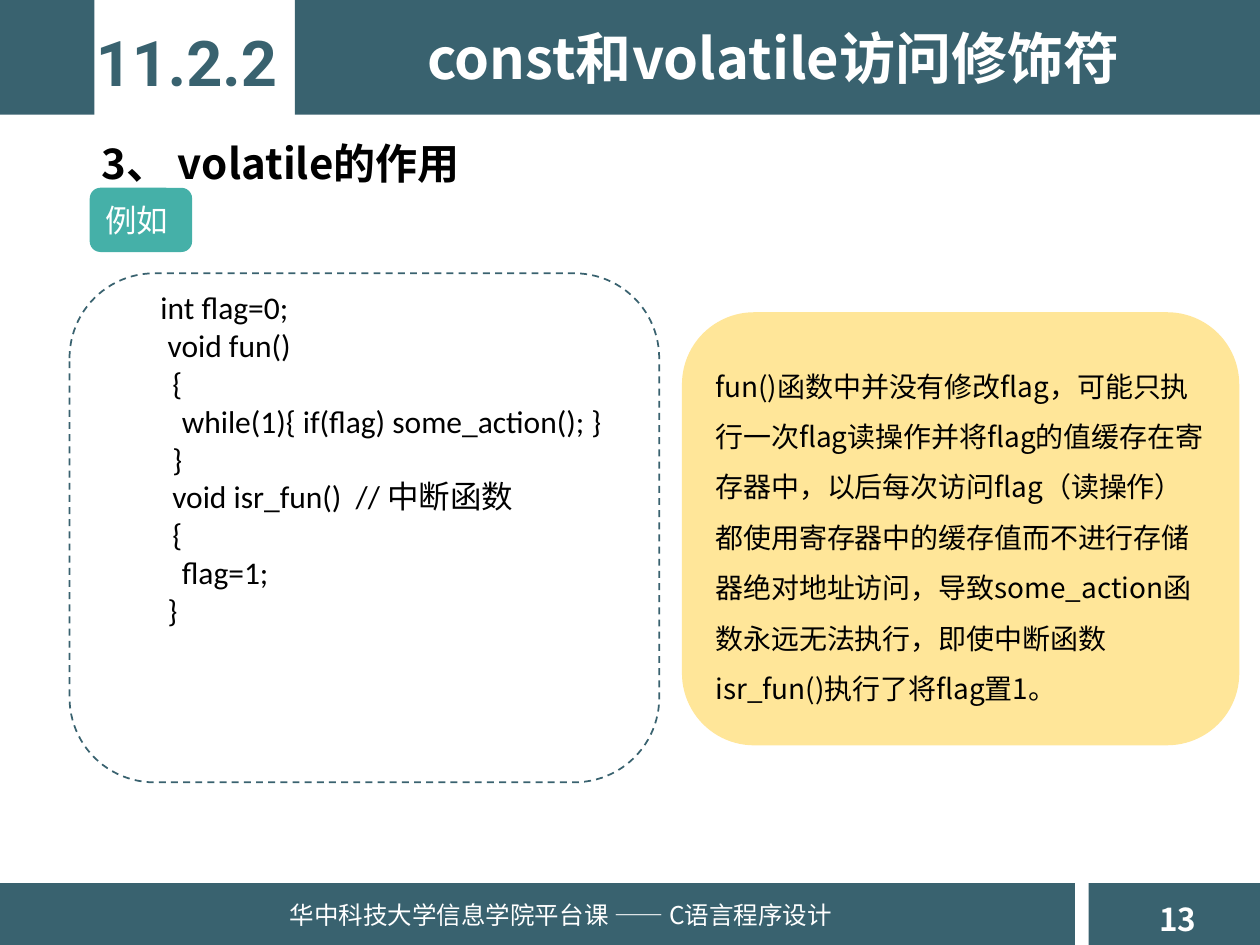
"""Builds the slide on the purpose of volatile in C."""
import pptx
import pptx.dml.color
import pptx.enum.dml
import pptx.enum.shapes
import pptx.enum.text
import pptx.oxml
import pptx.oxml.ns
import pptx.util

Pt = pptx.util.Pt
RGBColor = pptx.dml.color.RGBColor
SHAPE = pptx.enum.shapes.MSO_SHAPE
ALIGN = pptx.enum.text.PP_ALIGN
ANCHOR = pptx.enum.text.MSO_ANCHOR

SLATE = RGBColor(0x39, 0x62, 0x6F)
TEAL = RGBColor(0x45, 0xB0, 0xA8)
SAND = RGBColor(0xFF, 0xE6, 0x99)
WHITE = RGBColor(0xFF, 0xFF, 0xFF)
BLACK = RGBColor(0, 0, 0)
CJK = "Noto Sans CJK SC"

BARS = [
    (0, 0, 54, 65.5),
    (168.5, 0, 551.5, 65.5),
    (0, 504.7, 614.2, 35.3),
    (622.1, 504.7, 97.9, 35.3),
]
CODE_INDENT = 10.8
CODE = [
    (" int flag=0;", 0),
    ("  void fun()", 0),
    ("{", CODE_INDENT),
    ("    while(1){ if(flag) some_action(); }", 0),
    ("}", CODE_INDENT),
    ("void isr_fun()  // 中断函数", CODE_INDENT),
    ("{", CODE_INDENT),
    ("    flag=1;", 0),
    ("  }", 0),
]
EXPLANATION = (
    "fun()函数中并没有修改flag，可能只执行一次flag读操作并将flag的值缓存在寄存器中，"
    "以后每次访问flag（读操作）都使用寄存器中的缓存值而不进行存储器绝对地址访问，"
    "导致some_action函数永远无法执行，即使中断函数isr_fun()执行了将flag置1。"
)


def add_panel(page, kind, place, fill=None):
    """Add a preset shape without outline, filled if a colour is given."""
    panel = page.shapes.add_shape(kind, *map(Pt, place))
    panel.shadow.inherit = False
    panel.line.fill.background()
    if fill is None:
        panel.fill.background()
    else:
        panel.fill.solid()
        panel.fill.fore_color.rgb = fill
    return panel


def write_para(para, text, color, font, layout):
    """Write one formatted run into a paragraph."""
    for name, value in layout.items():
        setattr(para, name, value)
    span = para.add_run()
    span.text = text
    for name, value in font.items():
        setattr(span.font, name, value)
    span.font.color.rgb = color
    east_asian = pptx.oxml.parse_xml(
        f'<a:ea {pptx.oxml.ns.nsdecls("a")} typeface="{CJK}"/>'
    )
    span.font._element.append(east_asian)


def write_panel(panel, text, color, size, spacing=1.0):
    """Write left-aligned, vertically centred text into a shape."""
    panel.text_frame.word_wrap = True
    panel.text_frame.vertical_anchor = ANCHOR.MIDDLE
    write_para(panel.text_frame.paragraphs[0], text, color,
               {"name": CJK, "size": Pt(size)},
               {"alignment": ALIGN.LEFT, "line_spacing": spacing})


def add_label(page, place, text, color, font, wrap=False, **layout):
    """Add a text box holding one paragraph."""
    box = page.shapes.add_textbox(*map(Pt, place))
    box.text_frame.word_wrap = wrap
    write_para(box.text_frame.paragraphs[0], text, color, font, layout)


def add_code(page, place):
    """Add the code listing, one paragraph a line."""
    frame = page.shapes.add_textbox(*map(Pt, place)).text_frame
    frame.word_wrap = True
    for index, (text, indent) in enumerate(CODE):
        para = frame.add_paragraph() if index else frame.paragraphs[0]
        write_para(para, text, BLACK, {"name": "Calibri", "size": Pt(18)},
                   {"alignment": ALIGN.JUSTIFY})
        if indent:
            para._p.get_or_add_pPr().set("indent", str(Pt(indent)))


def add_dashed_frame(page, place):
    """Add the dashed rounded outline around the code."""
    line = add_panel(page, SHAPE.ROUNDED_RECTANGLE, place).line
    line.color.rgb = SLATE
    line.width = Pt(1)
    line.dash_style = pptx.enum.dml.MSO_LINE.DASH


def main():
    """Build and save the deck."""
    deck = pptx.Presentation()
    deck.slide_width, deck.slide_height = Pt(720), Pt(540)
    page = deck.slides.add_slide(deck.slide_layouts[6])

    for place in BARS:
        add_panel(page, SHAPE.RECTANGLE, place, SLATE)
    add_label(page, (655.2, 510.5, 39.6, 28.8), "13", WHITE,
              {"name": CJK, "size": Pt(18), "bold": True})
    add_label(page, (158.4, 510.5, 331.2, 58.3),
              "华中科技大学信息学院平台课 —— C语言程序设计", WHITE,
              {"name": CJK, "size": Pt(14)})
    add_label(page, (47.5, 10, 118, 51), "11.2.2", SLATE,
              {"name": "Roboto", "size": Pt(36), "bold": True},
              alignment=ALIGN.CENTER)
    add_label(page, (208, 10, 468, 46), "const和volatile访问修饰符", WHITE,
              {"name": CJK, "size": Pt(32), "bold": True}, wrap=True,
              alignment=ALIGN.CENTER)
    add_label(page, (51, 60.5, 278, 51), "3、 volatile的作用", BLACK,
              {"name": CJK, "size": Pt(24), "bold": True}, wrap=True,
              line_spacing=1.5)

    tag = add_panel(page, SHAPE.ROUNDED_RECTANGLE, (51.3, 107.3, 58.5, 36.7), TEAL)
    write_panel(tag, "例如", WHITE, 18)
    add_code(page, (80.6, 161.3, 360, 203.8))
    add_dashed_frame(page, (39.7, 156.2, 337, 290.9))
    note = add_panel(page, SHAPE.ROUNDED_RECTANGLE, (389.7, 178.4, 318.5, 247.5), SAND)
    write_panel(note, EXPLANATION, BLACK, 16, 1.5)

    deck.save("out.pptx")


if __name__ == "__main__":
    main()
